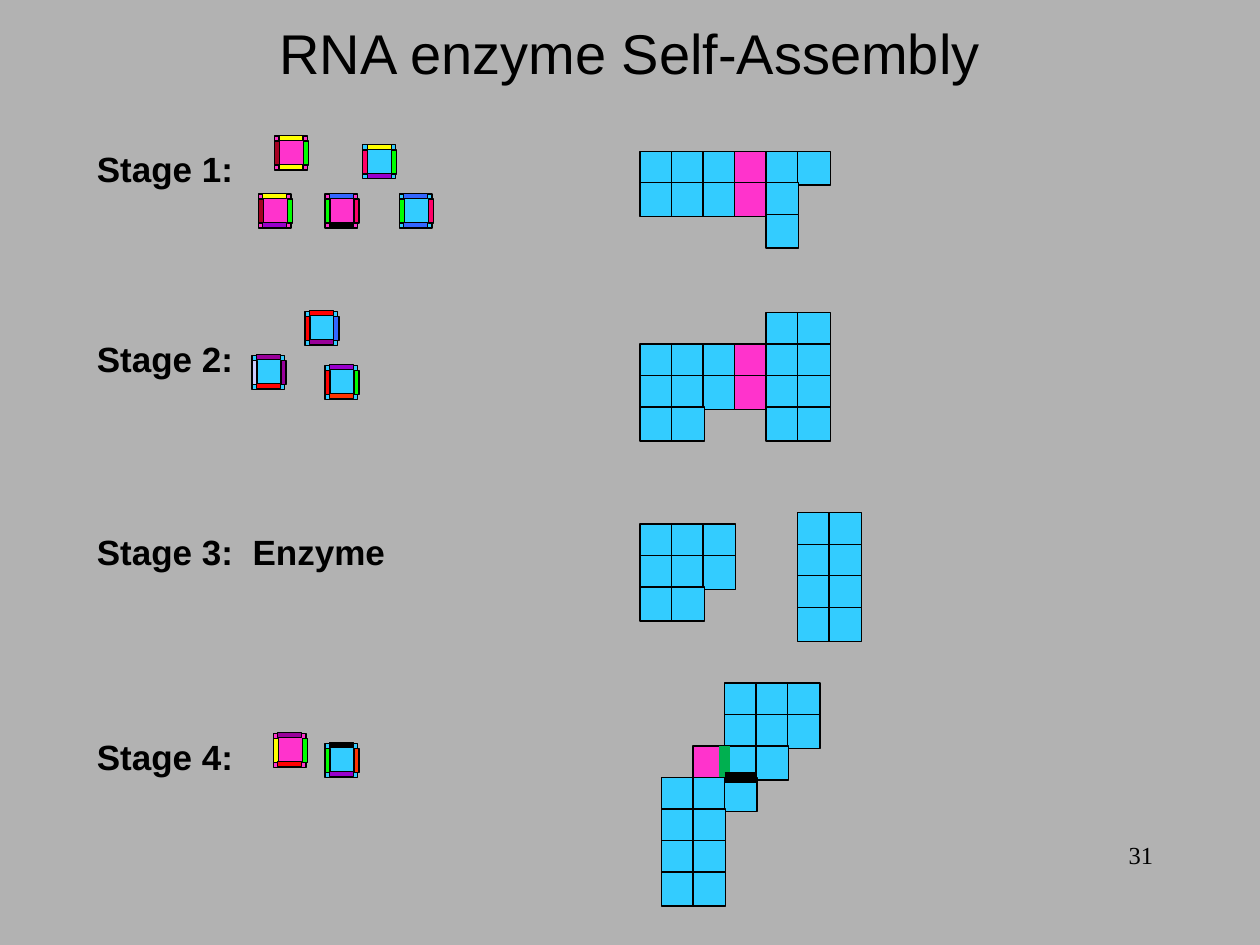
from dataclasses import dataclass

from lxml.etree import SubElement
from pptx import Presentation
from pptx.dml.color import RGBColor
from pptx.enum.shapes import MSO_CONNECTOR, MSO_SHAPE
from pptx.enum.text import MSO_ANCHOR, PP_ALIGN
from pptx.oxml.ns import qn
from pptx.util import Pt

PX = 9144  # EMU per px, 100 px to the inch


@dataclass(frozen=True)
class Theme:
    background: str = "B2B2B2"
    ink: str = "000000"
    cyan: str = "33CCFF"
    magenta: str = "FF33CC"
    yellow: str = "FFFF00"
    lime: str = "00FF00"
    rose: str = "FF0066"
    violet: str = "9900CC"
    purple: str = "990099"
    blue: str = "3366FF"
    maroon: str = "A50021"
    red: str = "FF0000"
    orange: str = "FF3300"
    lavender: str = "CCCCFF"
    green: str = "00B050"
    sans: str = "Arial"
    serif: str = "Times New Roman"
    title_size: int = 32
    label_size: int = 20
    number_size: int = 14
    outline: float = 0.75
    bond: int = 6


T = Theme()

prs = Presentation()
prs.slide_width, prs.slide_height = 1000 * PX, 750 * PX
s = prs.slides.add_slide(prs.slide_layouts[5])
s.background.fill.solid()
s.background.fill.fore_color.rgb = RGBColor.from_string(T.background)


def add_block(x, y, w, h, color, rotation=0):
    sp = s.shapes.add_shape(MSO_SHAPE.RECTANGLE, x * PX, y * PX, w * PX, h * PX)
    sp.rotation = rotation
    sp.shadow.inherit = False
    sp.fill.solid()
    sp.fill.fore_color.rgb = RGBColor.from_string(color)
    sp.line.color.rgb = RGBColor.from_string(T.ink)
    sp.line.width = Pt(T.outline)


def write(sp, text, size, font, align, bold=False):
    p = sp.text_frame.paragraphs[0]
    p.alignment = align
    r = p.add_run()
    r.text = text
    r.font.size, r.font.name, r.font.bold = Pt(size), font, bold
    r.font.color.rgb = RGBColor.from_string(T.ink)


# Title and slide number
title = s.shapes.title
title.left, title.top, title.width, title.height = 0, 0, 1000 * PX, 83 * PX
title.text_frame.vertical_anchor = MSO_ANCHOR.MIDDLE
write(title, "RNA enzyme Self-Assembly", T.title_size, T.sans, PP_ALIGN.CENTER)

number = s.shapes.add_textbox(717 * PX, 662 * PX, 208 * PX, 50 * PX)
number.text_frame.word_wrap = True
write(number, "31", T.number_size, T.serif, PP_ALIGN.RIGHT)

# Stage labels
labels = [
    ("Stage 1:", 112, 129),
    ("Stage 2:", 263, 129),
    ("Stage 3:  Enzyme", 416, 251),
    ("Stage 4:", 579, 129),
]
for text, y, w in labels:
    label = s.shapes.add_textbox(67 * PX, y * PX, w * PX, 44 * PX)
    label.text_frame.word_wrap = False
    write(label, text, T.label_size, T.sans, PP_ALIGN.LEFT, bold=True)

# Single tiles: x, y, body, then the glue on the right, left, top and bottom
TILE_W, TILE_H = 26, 27
tiles = [
    (288, 115, T.cyan, T.lime, T.rose, T.yellow, T.violet),
    (317, 154, T.cyan, T.rose, T.lime, T.blue, T.blue),
    (205, 154, T.magenta, T.lime, T.maroon, T.yellow, T.violet),
    (258, 154, T.magenta, T.rose, T.lime, T.blue, T.ink),
    (218, 108, T.magenta, T.lime, T.maroon, T.yellow, T.yellow),
    (242, 247, T.cyan, T.blue, T.red, T.red, T.purple),
    (258, 290, T.cyan, T.lime, T.red, T.violet, T.orange),
    (200, 282, T.cyan, T.purple, T.lavender, T.purple, T.red),
    (217, 582, T.magenta, T.lime, T.yellow, T.purple, T.red),
    (258, 590, T.cyan, T.orange, T.lime, T.ink, T.violet),
]
GLUES = [(23, 4, 0), (0, 4, 0), (11, -8, 270), (11, 15, 270)]
for x, y, body, *colors in tiles:
    add_block(x, y, TILE_W, TILE_H, body)
    for (dx, dy, rotation), color in zip(GLUES, colors):
        add_block(x + dx, y + dy, 4, 19, color, rotation)

# Assemblies: x, y, rows of cells (C cyan, M magenta, . empty)
PITCH = 25
CELL_COLORS = {"C": T.cyan, "M": T.magenta}
assemblies = [
    (508, 120, ["CCCMCC", "CCCMC", "....C"]),
    (508, 248, ["....CC", "CCCMCC", "CCCMCC", "CC..CC"]),
    (508, 416, ["CCC", "CCC", "CC"]),
    (633, 407, ["CC"] * 4),
    (525, 542, ["..CCC", "..CCC", ".MCC", "CCC", "CC", "CC", "CC"]),
]
for x, y, rows in assemblies:
    for i, row in enumerate(rows):
        for j, cell in enumerate(row):
            if cell in CELL_COLORS:
                add_block(x + j * PITCH, y + i * PITCH, TILE_W, TILE_H, CELL_COLORS[cell])

# Bonds of the stage 4 assembly
bonds = [(575, 592, 575, 617, T.green), (575, 617, 600, 617, T.ink)]
for x1, y1, x2, y2, color in bonds:
    bond = s.shapes.add_connector(MSO_CONNECTOR.STRAIGHT, x1 * PX, y1 * PX, x2 * PX, y2 * PX)
    bond.line.color.rgb = RGBColor.from_string(color)
    bond.line.width = Pt(T.bond)
    SubElement(bond._element.spPr, qn("a:effectLst"))

prs.save("out.pptx")
